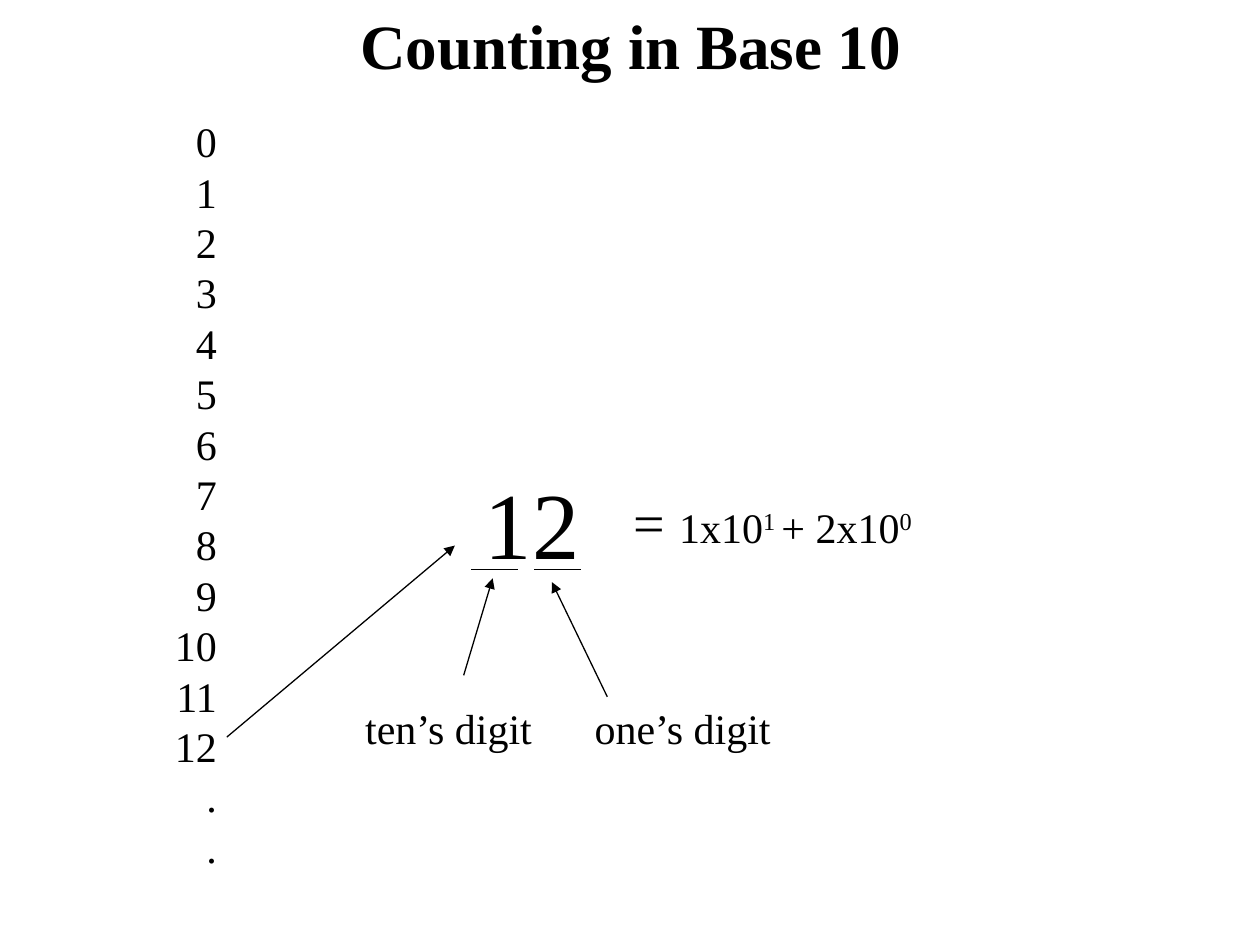
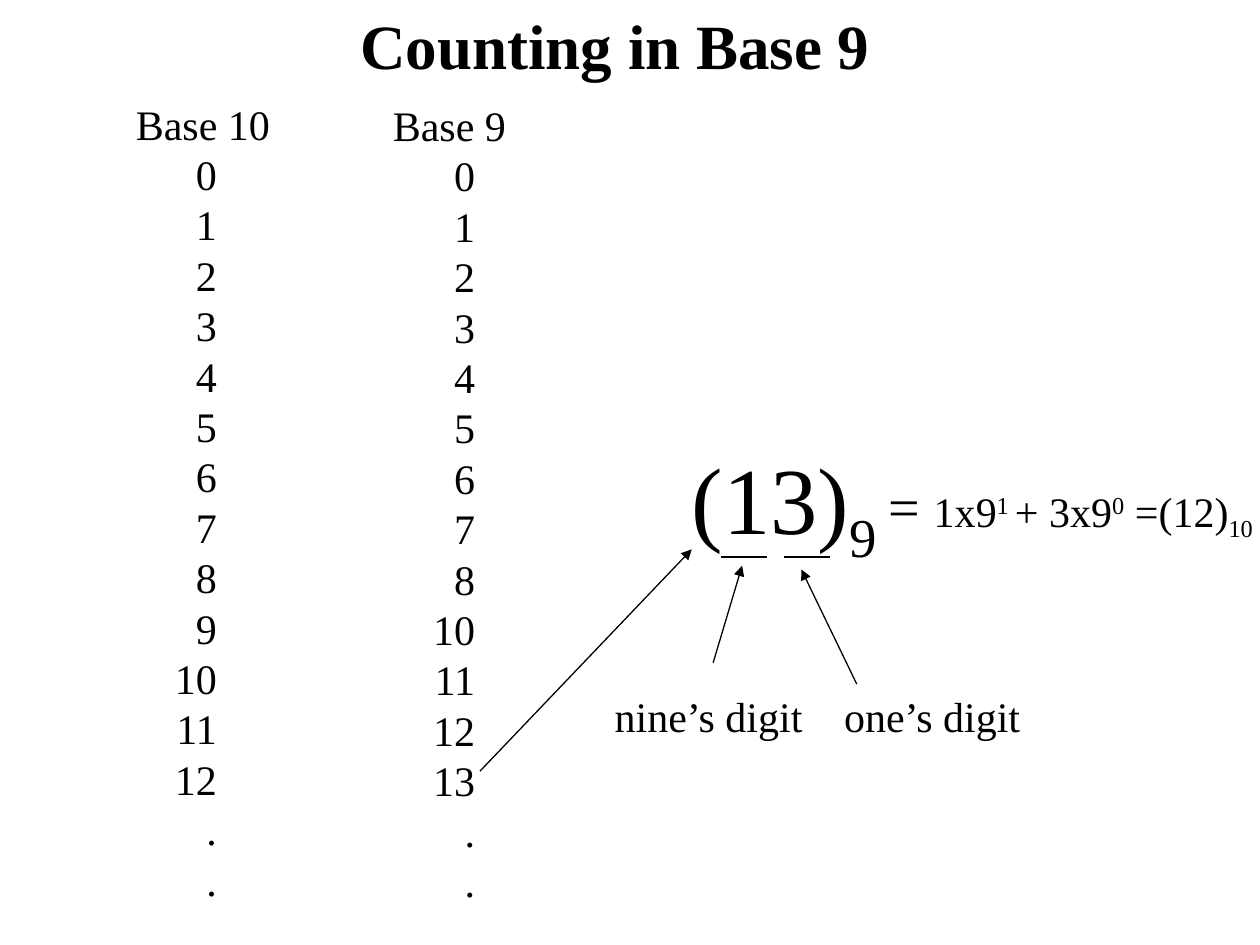
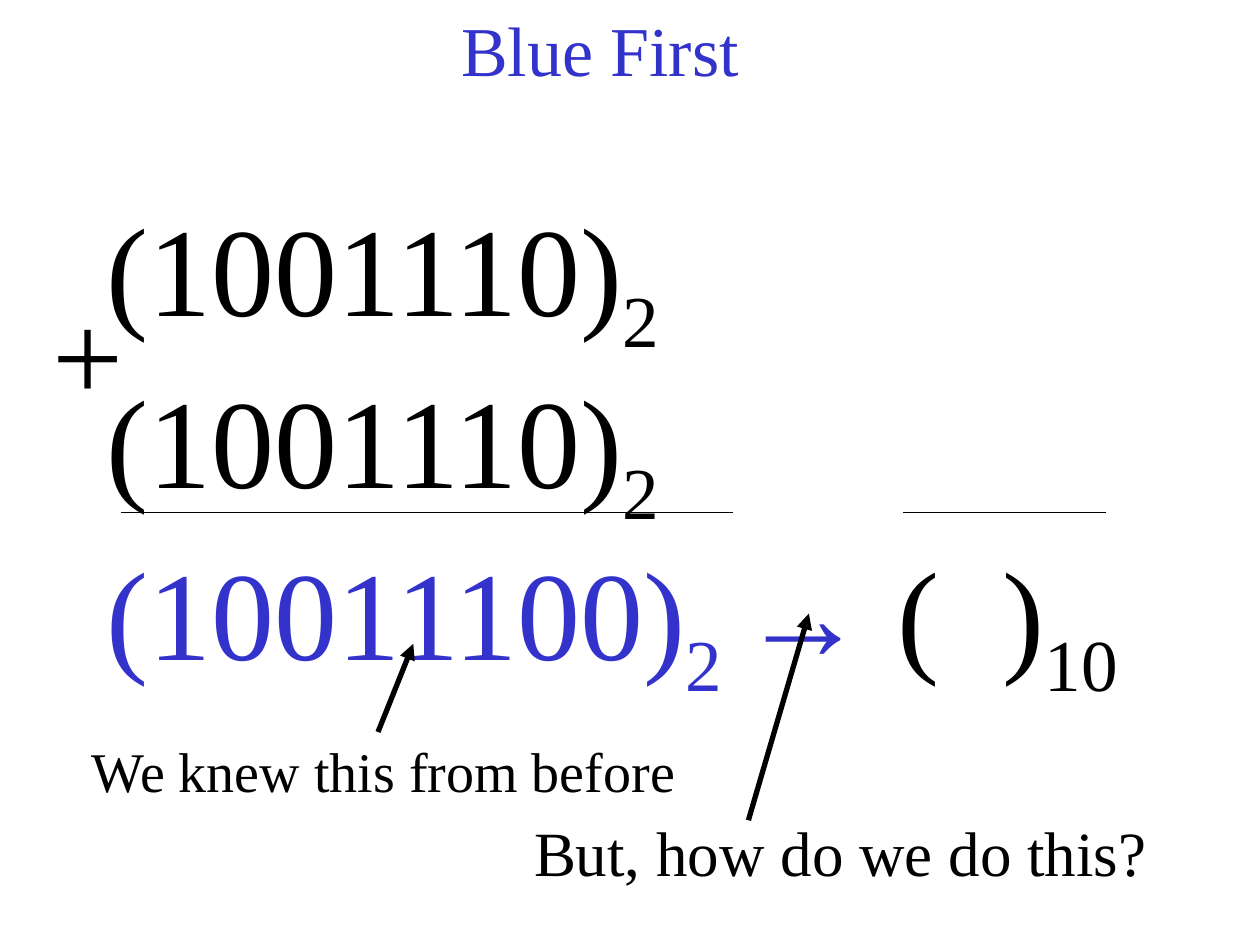
from lxml import etree
from pptx import Presentation, util as u
from pptx.dml.color import RGBColor
from pptx.enum import shapes, text
from pptx.oxml.ns import qn

FONT = "Times New Roman"
BLACK, BLUE = "000000", "3333CC"
SUP, SUB = 30, -25
COLS, ROWS = 10, 7.5
DOTS = [".", "."]


def rgb(code):
    return RGBColor.from_string(code)


class Deck:
    """Holds the shared style and the current slide; lengths are grid columns and rows."""

    def __init__(self):
        self.prs = Presentation()
        self.prs.slide_width, self.prs.slide_height = u.Inches(10), u.Inches(7.5)

    def x(self, cols):
        return round(self.prs.slide_width * cols / COLS)

    def y(self, rows):
        return round(self.prs.slide_height * rows / ROWS)

    def place(self, shape, left, top, width, height):
        shape.left, shape.top = self.x(left), self.y(top)
        shape.width, shape.height = self.x(width), self.y(height)

    def fill(self, shape, paras, size, color=BLACK, bold=False, wrap=False,
             align=text.PP_ALIGN.LEFT, before=0):
        """Write paragraphs; each is a string or a list of (words, changes) runs."""
        frame = shape.text_frame
        frame.word_wrap = wrap
        frame.auto_size = text.MSO_AUTO_SIZE.SHAPE_TO_FIT_TEXT
        frame.vertical_anchor = text.MSO_ANCHOR.TOP
        for i, runs in enumerate(paras):
            para = frame.add_paragraph() if i else frame.paragraphs[0]
            para.alignment, para.space_before = align, u.Pt(before)
            font = para.font
            font.name, font.size, font.bold = FONT, u.Pt(size), bold
            font.color.rgb = rgb(color)
            for words, look in [(runs, {})] if isinstance(runs, str) else runs:
                self.run(para, words, **look)

    def run(self, para, words, size=None, color=None, name=None, shift=0):
        run = para.add_run()
        run.text = words
        if size:
            run.font.size = u.Pt(size)
        if color:
            run.font.color.rgb = rgb(color)
        if name:
            run.font.name = name
        if shift:
            run.font._element.set("baseline", str(shift * 1000))

    def title(self, words, left, width, height=0.7, size=36, **look):
        """Start a slide and set its title on one line."""
        self.slide = self.prs.slides.add_slide(self.prs.slide_layouts[5])
        head = self.slide.shapes.title
        self.place(head, left, 0, width, height)
        self.fill(head, [words], size, wrap=True, **look)

    def text(self, paras, left, top, width, height=0.5, size=24, **look):
        box = self.slide.shapes.add_textbox(0, 0, 0, 0)
        self.place(box, left, top, width, height)
        self.fill(box, paras, size, **look)

    def line(self, x1, y1, x2, y2, width=0.75, arrow=False):
        line = self.slide.shapes.add_connector(
            shapes.MSO_CONNECTOR.STRAIGHT, self.x(x1), self.y(y1), self.x(x2), self.y(y2))
        line.line.color.rgb, line.line.width = rgb(BLACK), u.Pt(width)
        if arrow:
            etree.SubElement(line.line._get_or_add_ln(), qn("a:tailEnd"), type="triangle")
        etree.SubElement(line._element.spPr, qn("a:effectLst"))

    def arrow(self, x1, y1, x2, y2, width=0.75):
        self.line(x1, y1, x2, y2, width, arrow=True)

    def count(self, items, left, top):
        """A right-aligned column of numbers."""
        self.text([str(n) for n in items] + DOTS, left, top, 0.53, 6.1,
                  align=text.PP_ALIGN.RIGHT)

    def digits(self, place, width, dx=0, dy=0):
        """Underlines, arrows and labels for the two digits of a number."""
        for left in (3.74, 4.24):
            self.line(left + dx, 4.52 + dy, left + 0.37 + dx, 4.52 + dy)
        self.arrow(3.68 + dx, 5.36 + dy, 3.91 + dx, 4.59 + dy)
        self.arrow(4.82 + dx, 5.53 + dy, 4.38 + dx, 4.62 + dy)
        self.text([place + "’s digit"], 2.8 + dx, 5.53 + dy, width)
        self.text(["one’s digit"], 4.62 + dx, 5.53 + dy, 1.61)

    def powers(self, base, ones, left, top, width, height, tail=()):
        """The number written out as powers of its base."""
        sup = {"shift": SUP, "size": 24}
        norm = {"size": 24}
        self.text([[("= ", {}), (f"1x{base}", norm), ("1 ", sup),
                    (f"+ {ones}x{base}", norm), ("0", sup), *tail]],
                  left, top, width, height, size=32)


def main():
    deck = Deck()
    low = {"shift": SUB}

    # Base 10
    deck.title("Counting in Base 10", 2.76, 4.6, bold=True)
    deck.count(range(13), 1.29, 0.87)
    deck.text(["12"], 3.75, 3.64, 1.11, 1, size=54, wrap=True, before=33.8)
    deck.arrow(1.8, 5.85, 3.61, 4.33)
    deck.digits("ten", 1.54)
    deck.powers(10, 2, 4.93, 3.82, 2.41, 0.64)

    # Base 9
    deck.title("Counting in Base 9", 2.76, 4.35, bold=True)
    deck.text(["Base 10"], 0.98, 0.73, 1.35, wrap=True)
    deck.count(range(13), 1.29, 1.13)
    deck.text(["Base 9"], 3.02, 0.74, 1.1)
    deck.count([n // 9 * 10 + n % 9 for n in range(13)], 3.34, 1.14)
    deck.text([[("(13)", {}), ("9", low)]], 5.39, 3.44, 1.99, 1.13,
              size=54, wrap=True, before=33.8)
    deck.arrow(3.81, 6.12, 5.49, 4.36)
    deck.digits("nine", 1.71, dx=1.98, dy=-0.1)
    deck.powers(9, 3, 6.95, 3.69, 3.15, 0.67,
                tail=[(" =(12)", {"size": 24}), ("10", {"size": 24, "shift": SUB})])

    # Binary sum
    deck.title("Blue First", 3.56, 2.5, 0.77, size=40, color=BLUE)
    blue = {"color": BLUE}
    term = "(1001110)"
    deck.text([[(term, {}), ("2 ", low), (term, {}), ("2", low)],
               [("(10011100)", blue), ("2 ", {**blue, **low}),
                ("→", {**blue, "name": "Arial"}), (" (  )", {}), ("10", low)]],
              0.75, 1.46, 8.82, 4.2, size=72, wrap=True)
    deck.text(["+"], 0.32, 2.14, 0.76, 1.3, size=72)
    deck.line(0.96, 4.07, 5.82, 4.07)
    deck.line(7.17, 4.07, 8.78, 4.07)

    # Remarks on the sum
    deck.arrow(3, 5.81, 3.28, 5.11, width=3)
    deck.text(["We knew this from before"], 0.63, 5.8, 4.87, 0.64, size=32)
    deck.arrow(5.94, 6.51, 6.42, 4.87, width=3)
    deck.text(["But, how do we do this?"], 4.14, 6.41, 5.06, 0.7, size=36)

    deck.prs.save("out.pptx")


if __name__ == "__main__":
    main()
